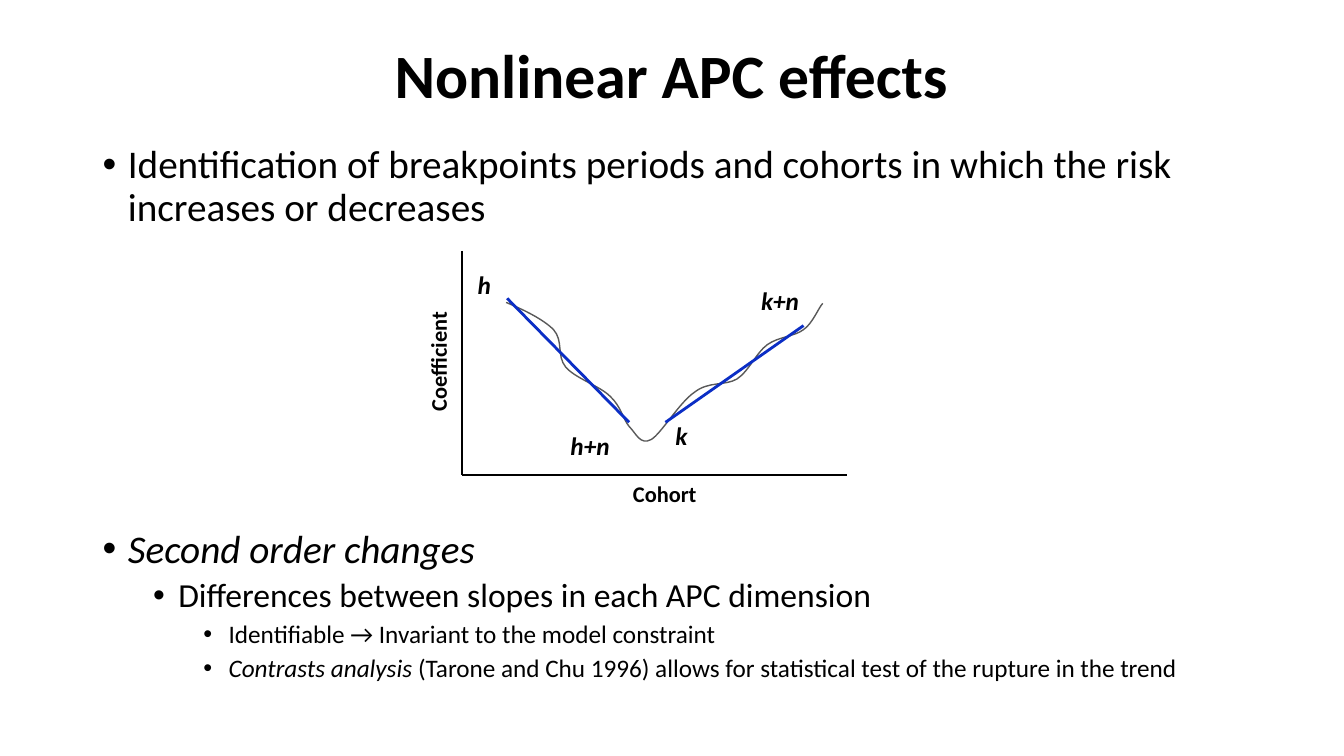
from lxml import etree
from pptx import Presentation
from pptx import util as u
from pptx.dml.color import RGBColor
from pptx.enum import shapes, text
from pptx.oxml.ns import qn

PX = 9144  # EMU per px, 100 px to the inch
FONT, BLACK, GREY, BLUE = "Calibri", "000000", "595959", "0B2EC5"

# Start point, then two handles and an end point for each bend
CURVE = [
    (502, 300),
    (521, 308), (539, 317), (549, 327),
    (559, 338), (552, 353), (561, 364),
    (570, 375), (595, 383), (605, 393),
    (616, 403), (618, 416), (624, 423),
    (631, 430), (635, 442), (646, 436),
    (656, 430), (674, 399), (689, 389),
    (703, 378), (719, 383), (731, 376),
    (743, 368), (750, 350), (761, 342),
    (772, 334), (788, 334), (797, 327),
    (806, 321), (812, 305), (816, 301),
]

# Level, space before in points, runs as (text, italic)
BODY = [
    (0, 10, [("Identification of breakpoints periods and cohorts in which "
              "the risk increases or decreases", False)]),
    (0, 214, [("Second order changes", True)]),
    (1, 5, [("Differences between slopes in each APC dimension", False)]),
    (2, 5, [("Identifiable → Invariant to the model constraint", False)]),
    (2, 5, [("Contrasts analysis", True),
            (" (Tarone and Chu 1996) allows for statistical test of the "
             "rupture in the trend", False)]),
]
LEVEL_SIZES = [28, 24, 18]

LABELS = [
    ("Coefficient", (374, 339, 121, 37), 16, False, 270),
    ("Cohort", (618, 471, 84, 37), 16, False, 0),
    ("h", (464, 262, 34, 40), 18, True, 0),
    ("h+n", (556, 422, 59, 40), 18, True, 0),
    ("k", (660, 412, 32, 40), 18, True, 0),
    ("k+n", (745, 278, 58, 40), 18, True, 0),
]

LINES = [
    ((458, 249), (458, 471), BLACK, 1.25),
    ((458, 471), (840, 471), BLACK, 1.25),
    ((503, 296), (624, 419), BLUE, 2),
    ((660, 419), (797, 323), BLUE, 2),
]


def px(*values):
    return [v * PX for v in values]


def color(hex_value):
    return RGBColor.from_string(hex_value)


def apply(obj, values):
    for name, value in values.items():
        setattr(obj, name, value)


def add_run(p, words, size, bold=False, italic=False):
    r = p.add_run()
    r.text = words
    apply(r.font, {"name": FONT, "size": u.Pt(size), "bold": bold,
                   "italic": italic})
    r.font.color.rgb = color(BLACK)


def add_frame(s, box, **values):
    sp = s.shapes.add_textbox(*px(*box))
    apply(sp.text_frame, values)
    return sp


def add_bullet(p, level):
    """Hang a round bullet a quarter inch before the text of this level."""
    pPr = p._p.get_or_add_pPr()
    pPr.set("marL", str((25 + 50 * level) * PX))
    pPr.set("indent", str(-25 * PX))
    etree.SubElement(pPr, qn("a:buFont"), typeface="Arial")
    etree.SubElement(pPr, qn("a:buChar"), char="•")


def add_title(s, words):
    sp = add_frame(s, (91, 5, 1150, 145), word_wrap=True,
                   vertical_anchor=text.MSO_ANCHOR.MIDDLE)
    p = sp.text_frame.paragraphs[0]
    apply(p, {"alignment": text.PP_ALIGN.CENTER, "line_spacing": 0.9})
    add_run(p, words, 44, bold=True)


def add_body(s):
    tf = add_frame(s, (92, 139, 1150, 567), word_wrap=True).text_frame
    for i, (level, before, runs) in enumerate(BODY):
        p = tf.add_paragraph() if i else tf.paragraphs[0]
        apply(p, {"level": level, "line_spacing": 0.9,
                  "space_before": u.Pt(before)})
        add_bullet(p, level)
        for words, italic in runs:
            add_run(p, words, LEVEL_SIZES[level], italic=italic)


def add_label(s, words, box, size, italic, rotation):
    sp = add_frame(s, box, word_wrap=False,
                   auto_size=text.MSO_AUTO_SIZE.SHAPE_TO_FIT_TEXT)
    sp.rotation = rotation
    add_run(sp.text_frame.paragraphs[0], words, size, True, italic)


def add_line(s, start, end, hex_value, width):
    line = s.shapes.add_connector(shapes.MSO_CONNECTOR.STRAIGHT,
                                  *px(*start, *end))
    line.line.color.rgb = color(hex_value)
    line.line.width = u.Pt(width)
    etree.SubElement(line._element.spPr, qn("a:effectLst"))


def add_curve(s, points, hex_value, width):
    """Draw points as an open outline, each three after the first a bend."""
    builder = s.shapes.build_freeform(*points[0], scale=PX)
    builder.add_line_segments(points[1:], close=False)
    sp = builder.convert_to_shape()
    outline = next(sp._element.iter(qn("a:path")))
    steps = outline.findall(qn("a:lnTo"))
    for i in range(0, len(steps), 3):
        bend = etree.SubElement(outline, qn("a:cubicBezTo"))
        for step in steps[i:i + 3]:
            bend.append(step[0])
            outline.remove(step)
    sp.shadow.inherit = False
    sp.fill.background()
    sp.line.color.rgb = color(hex_value)
    sp.line.width = u.Pt(width)


def main():
    prs = Presentation()
    prs.slide_width, prs.slide_height = px(1333, 750)
    s = prs.slides.add_slide(prs.slide_layouts[6])
    add_body(s)
    add_title(s, "Nonlinear APC effects")
    add_curve(s, CURVE, GREY, 1)
    for label in LABELS:
        add_label(s, *label)
    for line in LINES:
        add_line(s, *line)
    prs.save("out.pptx")


if __name__ == "__main__":
    main()
